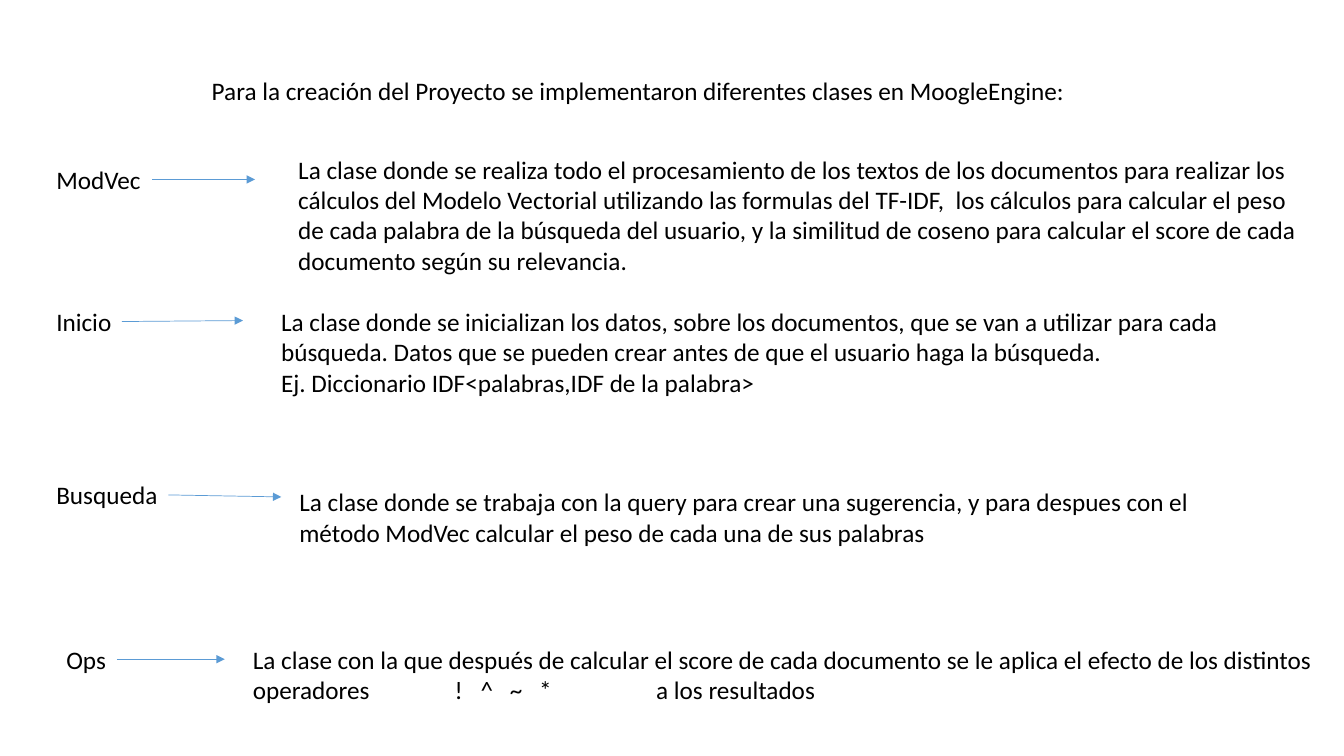
from dataclasses import dataclass

from pptx import Presentation
from pptx.dml.color import RGBColor
from pptx.enum.shapes import MSO_CONNECTOR
from pptx.enum.text import MSO_ANCHOR, MSO_AUTO_SIZE, PP_ALIGN
from pptx.oxml.ns import qn
from pptx.shapes.autoshape import Shape
from pptx.slide import Slide
from pptx.util import Inches, Pt
from lxml.etree import SubElement

BLACK = RGBColor(0x00, 0x00, 0x00)
BLUE = RGBColor(0x5B, 0x9B, 0xD5)
LABEL_H = 0.4
OPERATOR_TABS = (2, 2.26, 2.55, 2.84, 4)


@dataclass
class Box:
    left: float
    top: float
    width: float
    height: float


@dataclass
class ClassEntry:
    name: str
    label: Box
    description: str
    body: Box
    arrow: tuple[float, float, float, float]
    tabs: tuple[float, ...] = ()


ENTRIES = [
    ClassEntry(
        "ModVec", Box(0.46, 1.58, 1.05, LABEL_H),
        "La clase donde se realiza todo el procesamiento de los textos de los "
        "documentos para realizar los cálculos del Modelo Vectorial utilizando las "
        "formulas del TF-IDF,  los cálculos para calcular el peso de cada palabra de "
        "la búsqueda del usuario, y la similitud de coseno para calcular el score de "
        "cada documento según su relevancia.",
        Box(2.86, 1.48, 10.17, 1.31), (1.51, 1.78, 2.53, 1.78)),
    ClassEntry(
        "Inicio", Box(0.46, 2.99, 0.75, LABEL_H),
        "La clase donde se inicializan los datos, sobre los documentos, que se van a "
        "utilizar para cada búsqueda. Datos que se pueden crear antes de que el "
        "usuario haga la búsqueda.\n"
        "Ej. Diccionario IDF<palabras,IDF de la palabra>",
        Box(2.69, 2.99, 10.34, 1.01), (1.21, 3.19, 2.41, 3.18)),
    ClassEntry(
        "Busqueda", Box(0.46, 4.71, 1.22, LABEL_H),
        "La clase donde se trabaja con la query para crear una sugerencia, y para "
        "despues con el método ModVec calcular el peso de cada una de sus palabras",
        Box(2.87, 4.78, 9.72, 0.71), (1.67, 4.91, 2.79, 4.93)),
    ClassEntry(
        "Ops", Box(0.56, 6.34, 0.6, LABEL_H),
        "La clase con la que después de calcular el score de cada documento se le "
        "aplica el efecto de los distintos operadores\t!\t^\t~\t*\ta los resultados",
        Box(2.41, 6.34, 10.84, 0.71), (1.16, 6.54, 2.23, 6.54), OPERATOR_TABS),
]


def write_text(sp: Shape, text: str, *, wrap: bool = True, size: float = 18,
               font: str = "Calibri", color: RGBColor = BLACK,
               tabs: tuple[float, ...] = ()) -> None:
    tf = sp.text_frame
    tf.text = text
    tf.word_wrap = wrap
    tf.auto_size = MSO_AUTO_SIZE.SHAPE_TO_FIT_TEXT
    tf.vertical_anchor = MSO_ANCHOR.TOP
    for p in tf.paragraphs:
        p.alignment = PP_ALIGN.LEFT
        if tabs:
            tab_list = SubElement(p._p.get_or_add_pPr(), qn("a:tabLst"))
            for pos in tabs:
                SubElement(tab_list, qn("a:tab"), pos=str(Inches(pos)), algn="l")
        for r in p.runs:
            r.font.size = Pt(size)
            r.font.name = font
            r.font.color.rgb = color


def place(sp: Shape, box: Box) -> None:
    sp.left, sp.top = Inches(box.left), Inches(box.top)
    sp.width, sp.height = Inches(box.width), Inches(box.height)


def add_text(slide: Slide, box: Box, text: str, *, wrap: bool = True,
             tabs: tuple[float, ...] = ()) -> None:
    sp = slide.shapes.add_textbox(0, 0, 0, 0)
    write_text(sp, text, wrap=wrap, tabs=tabs)
    place(sp, box)


def add_arrow(slide: Slide, ends: tuple[float, float, float, float]) -> None:
    cxn = slide.shapes.add_connector(MSO_CONNECTOR.STRAIGHT, *map(Inches, ends))
    cxn.line.color.rgb = BLUE
    cxn.line.width = Pt(0.5)
    SubElement(cxn.line._get_or_add_ln(), qn("a:tailEnd"), type="triangle")
    SubElement(cxn._element.spPr, qn("a:effectLst"))


def main() -> None:
    prs = Presentation()
    prs.slide_width, prs.slide_height = Inches(13.33), Inches(7.5)
    slide = prs.slides.add_slide(prs.slide_layouts[5])
    title = slide.shapes.title
    write_text(title, "Para la creación del Proyecto se implementaron diferentes "
               "clases en MoogleEngine:", wrap=False)
    place(title, Box(2, 0.7, 8.82, LABEL_H))
    for entry in ENTRIES:
        add_text(slide, entry.label, entry.name, wrap=False)
        add_text(slide, entry.body, entry.description, tabs=entry.tabs)
        add_arrow(slide, entry.arrow)
    prs.save("out.pptx")


if __name__ == "__main__":
    main()
